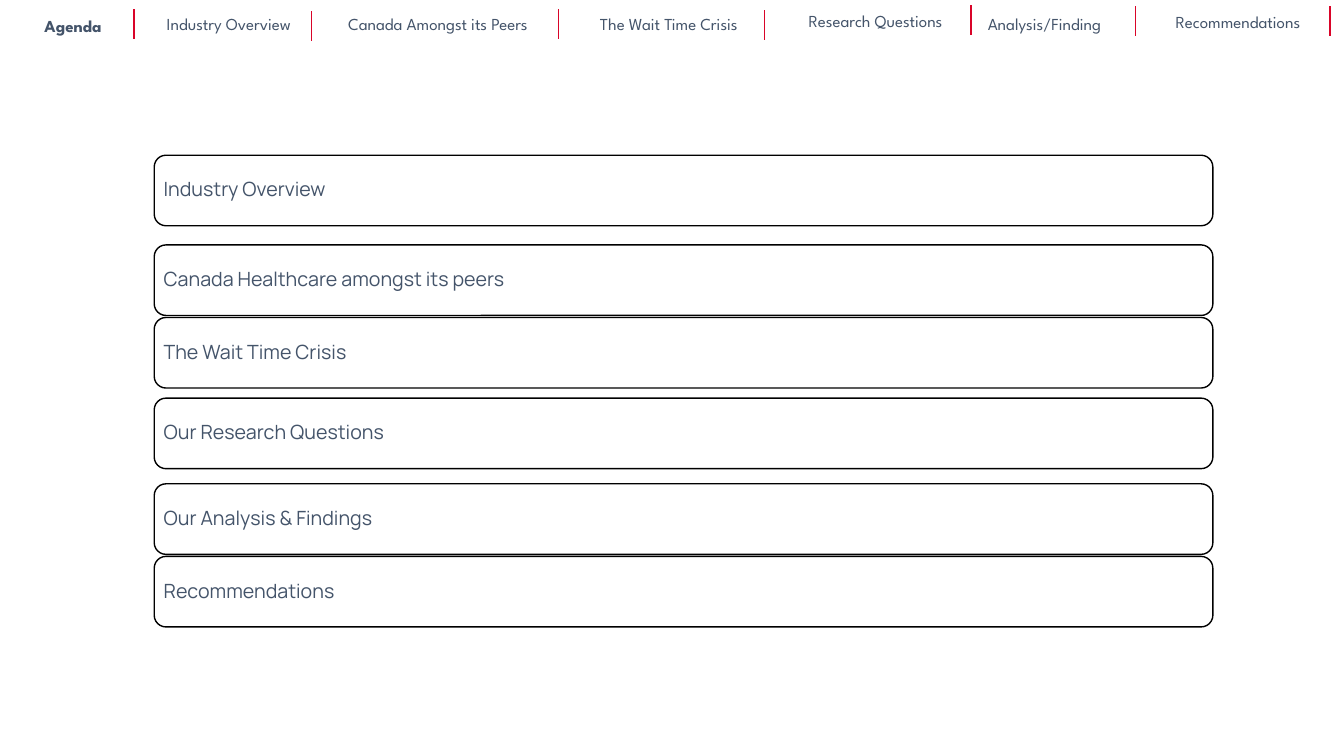
from dataclasses import dataclass

from lxml.etree import SubElement
from pptx import Presentation
from pptx.dml.color import RGBColor
from pptx.enum.shapes import MSO_CONNECTOR, MSO_SHAPE
from pptx.enum.text import MSO_ANCHOR, MSO_AUTO_SIZE, PP_ALIGN
from pptx.oxml.ns import qn
from pptx.slide import Slide
from pptx.text.text import TextFrame
from pptx.util import Inches, Pt

COLORS = {"text": "44546A", "box": "FFFFFF", "outline": "000000", "divider": "D90429"}
MARGINS = ("margin_left", "margin_top", "margin_right", "margin_bottom")
TOPIC_FRAME = {
    "word_wrap": True,
    "vertical_anchor": MSO_ANCHOR.MIDDLE,
    **dict.fromkeys(MARGINS, Inches(0.06)),
}
TAB_FRAME = {
    "word_wrap": True,
    "auto_size": MSO_AUTO_SIZE.SHAPE_TO_FIT_TEXT,
    "vertical_anchor": MSO_ANCHOR.MIDDLE,
    **dict.fromkeys(MARGINS, 0),
}
TOPIC_PARAGRAPH = {"alignment": PP_ALIGN.LEFT, "line_spacing": 0.9}
TAB_PARAGRAPH = {"alignment": PP_ALIGN.CENTER}
TOPIC_FONT = {"name": "Manrope", "size": Pt(14), "bold": False}
TAB_FONT = {"name": "League Spartan", "size": Pt(12)}


@dataclass(frozen=True)
class Topic:
    title: str
    top: float


@dataclass(frozen=True)
class Tab:
    title: str
    left: float
    top: float
    width: float
    divider_x: float
    divider_top: float
    current: bool = False


TOPICS = [
    Topic("Industry Overview", 1.54),
    Topic("Canada Healthcare amongst its peers", 2.43),
    Topic("The Wait Time Crisis", 3.15),
    Topic("Our Research Questions", 3.95),
    Topic("Our Analysis & Findings", 4.8),
    Topic("Recommendations", 5.52),
]
TABS = [
    Tab("Agenda", 0.14, 0.14, 1.17, 1.33, 0.09, current=True),
    Tab(" Industry Overview", 1.35, 0.12, 1.8, 3.09, 0.11),
    Tab("Canada Amongst its Peers", 3.17, 0.12, 2.35, 5.54, 0.09),
    Tab("The Wait Time Crisis", 5.53, 0.12, 2.21, 7.58, 0.1),
    Tab("Research Questions", 7.85, 0.09, 1.67, 9.63, 0.05),
    Tab("Analysis/Finding", 9.65, 0.12, 1.42, 11.26, 0.06),
    Tab("Recommendations ", 11.41, 0.1, 1.78, 13.19, 0.06),
]


def color(name: str) -> RGBColor:
    return RGBColor.from_string(COLORS[name])


def apply(target: object, values: dict) -> None:
    for attribute, value in values.items():
        setattr(target, attribute, value)


def write(frame: TextFrame, title: str, layout: dict, paragraph_format: dict, font: dict) -> None:
    apply(frame, layout)
    paragraph = frame.paragraphs[0]
    apply(paragraph, paragraph_format)
    run = paragraph.add_run()
    run.text = title
    apply(run.font, font)
    run.font.color.rgb = color("text")


def draw_topic(slide: Slide, topic: Topic) -> None:
    box = slide.shapes.add_shape(
        MSO_SHAPE.ROUNDED_RECTANGLE, Inches(1.53), Inches(topic.top), Inches(10.5), Inches(0.7)
    )
    box.shadow.inherit = False
    box.fill.solid()
    box.fill.fore_color.rgb = color("box")
    box.line.color.rgb = color("outline")
    box.line.width = Pt(1)
    write(box.text_frame, topic.title, TOPIC_FRAME, TOPIC_PARAGRAPH, TOPIC_FONT)


def draw_tab(slide: Slide, tab: Tab) -> None:
    label = slide.shapes.add_textbox(
        Inches(tab.left), Inches(tab.top), Inches(tab.width), Inches(0.24)
    )
    write(label.text_frame, tab.title, TAB_FRAME, TAB_PARAGRAPH, TAB_FONT | {"bold": tab.current})
    x = Inches(tab.divider_x)
    divider = slide.shapes.add_connector(
        MSO_CONNECTOR.STRAIGHT, x, Inches(tab.divider_top), x, Inches(tab.divider_top + 0.3)
    )
    divider.line.color.rgb = color("divider")
    divider.line.width = Pt(1)
    SubElement(divider._element.spPr, qn("a:effectLst"))


def main() -> None:
    deck = Presentation()
    deck.slide_width, deck.slide_height = Inches(13.33), Inches(7.5)
    slide = deck.slides.add_slide(deck.slide_layouts[6])
    for topic in TOPICS:
        draw_topic(slide, topic)
    for tab in TABS:
        draw_tab(slide, tab)
    deck.save("out.pptx")


if __name__ == "__main__":
    main()
